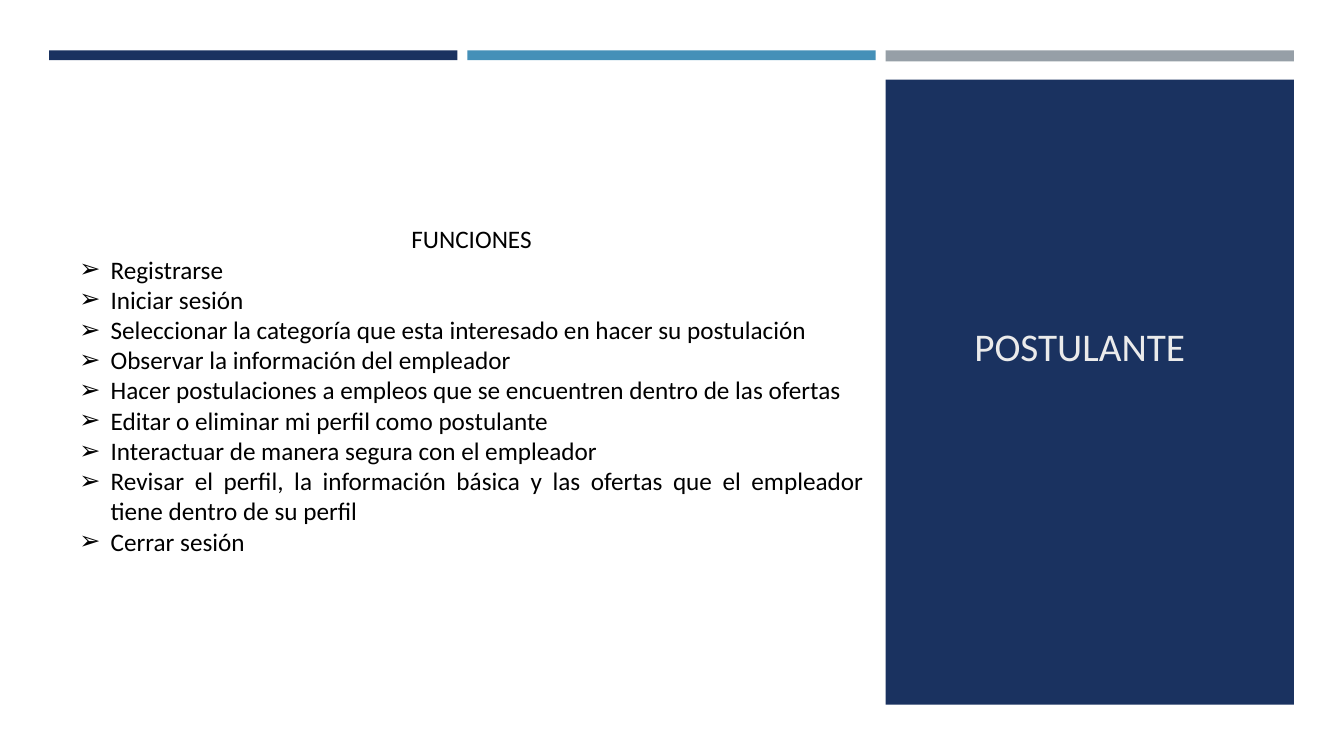
from lxml.etree import SubElement
from pptx import Presentation
from pptx.dml.color import RGBColor
from pptx.enum.shapes import MSO_SHAPE
from pptx.enum.text import PP_ALIGN
from pptx.oxml.ns import qn
from pptx.util import Cm, Pt

TITLE = "POSTULANTE "
HEADING = "FUNCIONES"
TASKS = [
    "Registrarse",
    "Iniciar sesión ",
    "Seleccionar la categoría que esta interesado en hacer su postulación ",
    "Observar la información del empleador",
    "Hacer postulaciones a empleos que se encuentren dentro de las ofertas",
    "Editar o eliminar mi perfil como postulante ",
    "Interactuar de manera segura con el empleador ",
    "Revisar el perfil, la información básica y las ofertas que el empleador "
    "tiene dentro de su perfil",
    "Cerrar sesión ",
]
THEME = {
    "font": "Calibri",
    "navy": "1A3260",
    "blue": "4590B8",
    "gray": "969FA7",
    "pale": "EBEBEB",
    "black": "000000",
    "title": 28,
    "body": 18,
}
BARS = [("navy", 0.25), ("blue", 0.25), ("gray", 0.28)]
LEFT, WIDTH, GAP = 1.24, 10.29, 0.25
INDENT = 0.79


def add_block(slide, color, *place):
    block = slide.shapes.add_shape(MSO_SHAPE.RECTANGLE, *map(Cm, place))
    block.shadow.inherit = False
    block.fill.solid()
    block.fill.fore_color.rgb = RGBColor.from_string(THEME[color])
    block.line.fill.background()


def add_text(slide, lines, size, color, *place):
    frame = slide.shapes.add_textbox(*map(Cm, place)).text_frame
    frame.word_wrap = True
    frame.text = "\n".join(lines)
    for para in frame.paragraphs:
        para.alignment = PP_ALIGN.CENTER
        for run in para.runs:
            run.font.name = THEME["font"]
            run.font.size = Pt(THEME[size])
            run.font.color.rgb = RGBColor.from_string(THEME[color])
    return frame


def add_bullet(para):
    para.alignment = PP_ALIGN.JUSTIFY
    props = para._p.get_or_add_pPr()
    props.set("marL", str(Cm(INDENT)))
    props.set("indent", str(-Cm(INDENT)))
    SubElement(props, qn("a:buFont"), typeface="Arial")
    SubElement(props, qn("a:buChar"), char="➢")


def main():
    deck = Presentation()
    deck.slide_width, deck.slide_height = Cm(33.87), Cm(19.05)
    slide = deck.slides.add_slide(deck.slide_layouts[6])

    for i, (color, height) in enumerate(BARS):
        add_block(slide, color, LEFT + i * (WIDTH + GAP), 1.27, WIDTH, height)
    side = LEFT + 2 * (WIDTH + GAP)
    add_block(slide, "navy", side, 2.01, WIDTH, 15.75)

    add_text(slide, [TITLE], "title", "pale", 23.04, 8, 8.56, 5.59)
    body = add_text(slide, [HEADING, *TASKS], "body", "black", 1.75, 5.51, 20.27, 8.71)
    for para in body.paragraphs[1:]:
        add_bullet(para)

    deck.save("out.pptx")


if __name__ == "__main__":
    main()
